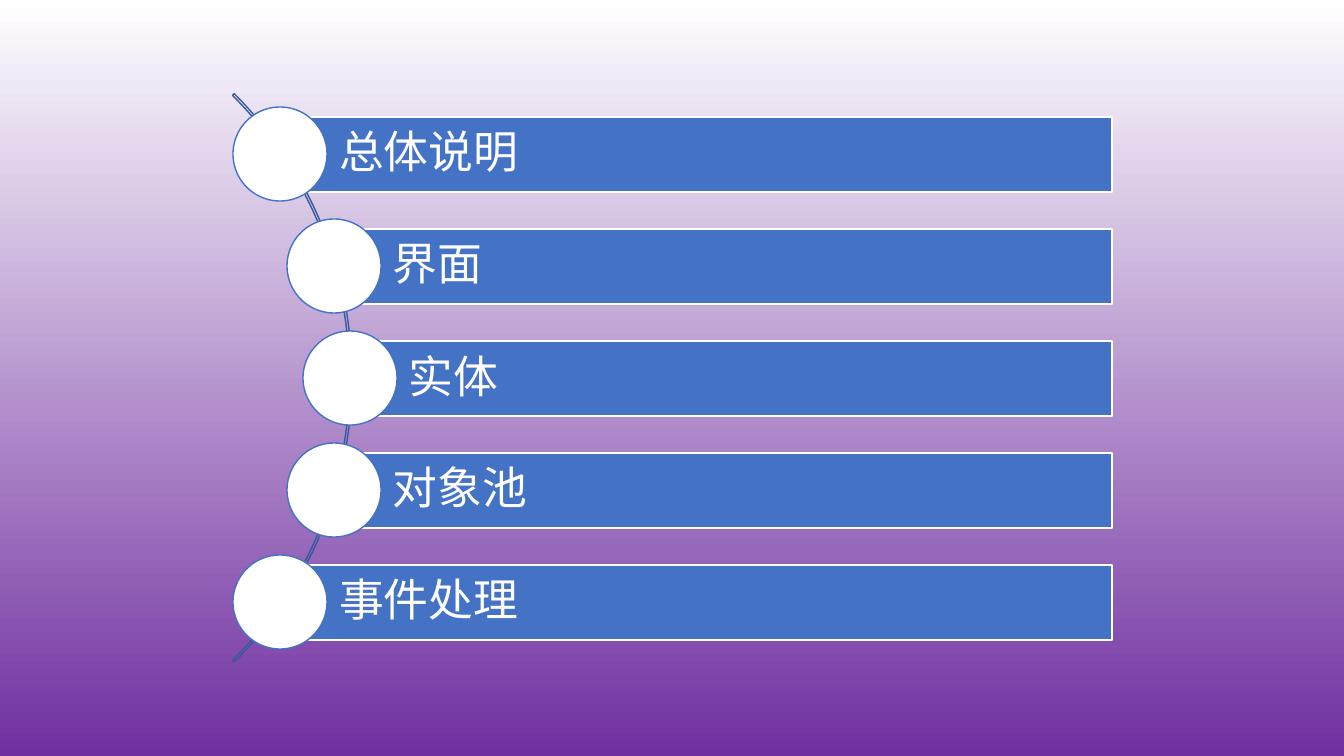
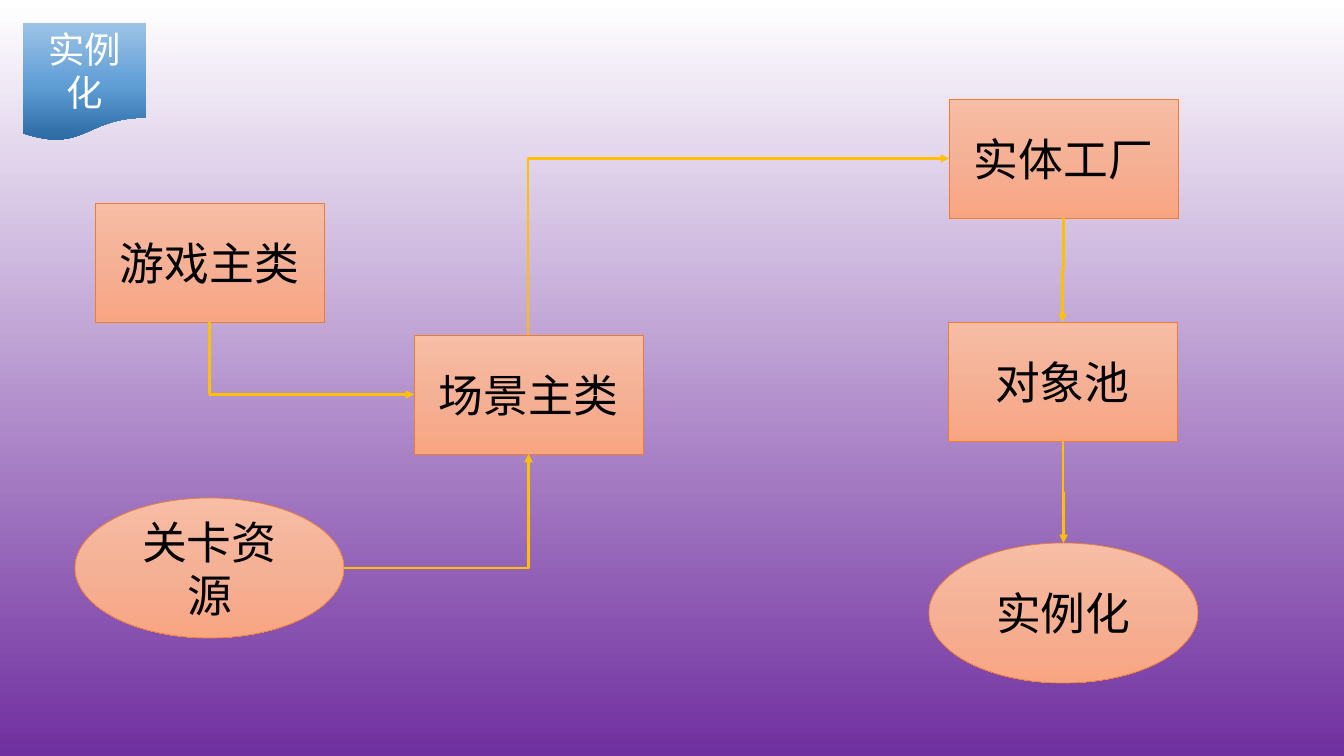
from dataclasses import dataclass

from lxml import etree
from pptx import Presentation
from pptx.dml.color import RGBColor
from pptx.dml.fill import FillFormat
from pptx.enum.shapes import MSO_CONNECTOR, MSO_SHAPE
from pptx.enum.text import MSO_ANCHOR, PP_ALIGN
from pptx.oxml.ns import qn
from pptx.presentation import Presentation as PresentationType
from pptx.shapes.autoshape import Shape
from pptx.slide import Slide
from pptx.util import Emu, Pt

RECTANGLE = MSO_SHAPE.RECTANGLE
ELLIPSE = MSO_SHAPE.OVAL
DOCUMENT = MSO_SHAPE.FLOWCHART_DOCUMENT
BLOCK_ARC = MSO_SHAPE.BLOCK_ARC
ELBOW = MSO_CONNECTOR.ELBOW
LEFT, CENTER = PP_ALIGN.LEFT, PP_ALIGN.CENTER
MIDDLE = MSO_ANCHOR.MIDDLE

# Shared look
SLIDE_WIDTH, SLIDE_HEIGHT = 1344, 756
EMU_PER_PX = 12192000 / SLIDE_WIDTH
FONT = "Noto Sans CJK SC"
WHITE, BLACK = "FFFFFF", "000000"
BLUE, DARK_BLUE = "4472C4", "365B9D"
ORANGE, GOLD = "ED7D31", "FFC000"
Gradient = list[tuple[int, str]]
BACKGROUND: Gradient = [(0, WHITE), (100, "7030A0")]
NODE_FILL: Gradient = [(0, "F7BDA5"), (50, "F5B196"), (100, "F8A582")]
TAG_FILL: Gradient = [(0, "9DC3E6"), (52, "609ED6"), (100, "2A69A2")]

# Agenda geometry
BAR_TOP, BAR_STEP, BAR_HEIGHT, BAR_RIGHT = 117, 112, 75, 1112
CIRCLE_SIZE, CIRCLE_RISE = 94, 10
BAR_INSET, BAR_MARGIN = 59, 9

# Flowchart geometry
NODE_SIZES = {RECTANGLE: (229, 119), ELLIPSE: (269, 140)}
SITES = {
    RECTANGLE: {"top": 0, "left": 1, "bottom": 2, "right": 3},
    ELLIPSE: {"top": 0, "left": 2, "bottom": 4, "right": 6},
}


@dataclass(frozen=True)
class AgendaItem:
    text: str
    left: int


@dataclass(frozen=True)
class Node:
    text: str
    kind: MSO_SHAPE
    left: int
    top: int


@dataclass(frozen=True)
class Link:
    source: str
    source_side: str
    target: str
    target_side: str


AGENDA = [
    AgendaItem("总体说明", 280),
    AgendaItem("界面", 334),
    AgendaItem("实体", 350),
    AgendaItem("对象池", 334),
    AgendaItem("事件处理", 280),
]
NODES = [
    Node("对象池", RECTANGLE, 948, 322),
    Node("实体工厂", RECTANGLE, 949, 99),
    Node("游戏主类", RECTANGLE, 95, 203),
    Node("场景主类", RECTANGLE, 414, 335),
    Node("关卡资源", ELLIPSE, 75, 498),
    Node("实例化", ELLIPSE, 929, 543),
]
LINKS = [
    Link("游戏主类", "bottom", "场景主类", "left"),
    Link("关卡资源", "right", "场景主类", "bottom"),
    Link("场景主类", "top", "实体工厂", "left"),
    Link("实体工厂", "bottom", "对象池", "top"),
    Link("对象池", "bottom", "实例化", "top"),
]


def px(length: float) -> Emu:
    return Emu(round(length * EMU_PER_PX))


def color(value: str) -> RGBColor:
    return RGBColor.from_string(value)


def set_gradient(fill: FillFormat, owner: etree._Element, stops: Gradient) -> None:
    """Fill from top to bottom with the given stops."""
    fill.gradient()
    fill.gradient_angle = 270
    stop_list = next(owner.iter(qn("a:gsLst")))
    for old_stop in list(stop_list):
        stop_list.remove(old_stop)
    for percent, value in stops:
        stop = etree.SubElement(stop_list, qn("a:gs"), pos=str(percent * 1000))
        etree.SubElement(stop, qn("a:srgbClr"), val=value)


def add_shape(slide: Slide, kind: MSO_SHAPE, left: int, top: int, width: int,
              height: int, fill: str | Gradient | None = None,
              line: str | None = None, line_width: float = 1) -> Shape:
    shape = slide.shapes.add_shape(kind, px(left), px(top), px(width), px(height))
    shape.shadow.inherit = False
    if fill is None:
        shape.fill.background()
    elif isinstance(fill, str):
        shape.fill.solid()
        shape.fill.fore_color.rgb = color(fill)
    else:
        set_gradient(shape.fill, shape.element, fill)
    if line is None:
        shape.line.fill.background()
    else:
        shape.line.color.rgb = color(line)
        shape.line.width = Pt(line_width)
    return shape


def set_text(shape: Shape, text: str, size: int, value: str,
             alignment: PP_ALIGN = CENTER) -> None:
    frame = shape.text_frame
    frame.text = text
    frame.word_wrap = True
    frame.vertical_anchor = MIDDLE
    paragraph = frame.paragraphs[0]
    paragraph.alignment = alignment
    run = paragraph.runs[0]
    run.font.size = Pt(size)
    run.font.color.rgb = color(value)
    run.font.name = FONT
    # East Asian text takes its typeface from a separate element
    latin = next(shape.element.iter(qn("a:latin")))
    latin.addnext(etree.Element(qn("a:ea"), typeface=FONT))


def side_point(shape: Shape, side: str) -> tuple[int, int]:
    across, down = {"top": (0.5, 0), "left": (0, 0.5),
                    "bottom": (0.5, 1), "right": (1, 0.5)}[side]
    return (round(shape.left + across * shape.width),
            round(shape.top + down * shape.height))


def add_link(slide: Slide, shapes: dict[str, Shape], link: Link) -> None:
    source, target = shapes[link.source], shapes[link.target]
    start_x, start_y = side_point(source, link.source_side)
    end_x, end_y = side_point(target, link.target_side)
    run_x, run_y = end_x - start_x, end_y - start_y
    vertical_first = link.source_side in ("top", "bottom")
    width, height = abs(run_x), abs(run_y)
    if vertical_first:
        width, height = height, width
    left = (start_x + end_x - width) // 2
    top = (start_y + end_y - height) // 2
    connector = slide.shapes.add_connector(
        ELBOW, Emu(left), Emu(top), Emu(left + width), Emu(top + height))
    connector.line.color.rgb = color(GOLD)
    connector.line.width = Pt(1.5)

    # Turn the elbow so that it leaves from the right side
    properties = connector.element.spPr
    transform = properties.find(qn("a:xfrm"))
    if vertical_first:
        transform.set("rot", str((270 if run_x > 0 else 90) * 60000))
        transform.set("flipH", str(int((run_x > 0) == (run_y > 0))))
    else:
        transform.set("flipH", str(int(run_x < 0)))
        transform.set("flipV", str(int(run_y < 0)))
    target_vertical = link.target_side in ("top", "bottom")
    if vertical_first != target_vertical:
        properties.find(qn("a:prstGeom")).set("prst", "bentConnector2")

    # Arrowhead, no shadow, and glue to both nodes
    etree.SubElement(properties.find(qn("a:ln")), qn("a:tailEnd"), type="triangle")
    etree.SubElement(properties, qn("a:effectLst"))
    glue = next(connector.element.iter(qn("p:cNvCxnSpPr")))
    for tag, shape, side in (("a:stCxn", source, link.source_side),
                             ("a:endCxn", target, link.target_side)):
        site = SITES[shape.auto_shape_type][side]
        etree.SubElement(glue, qn(tag), id=str(shape.shape_id), idx=str(site))


def add_blank_slide(presentation: PresentationType) -> Slide:
    return presentation.slides.add_slide(presentation.slide_layouts[6])


def build_agenda(presentation: PresentationType) -> None:
    slide = add_blank_slide(presentation)
    arc = add_shape(slide, BLOCK_ARC, -452, -24, 804, 804, line=DARK_BLUE)
    for index, adjustment in enumerate((189, 27, 0.003)):
        arc.adjustments[index] = adjustment
    for index, item in enumerate(AGENDA):
        top = BAR_TOP + index * BAR_STEP
        bar = add_shape(slide, RECTANGLE, item.left, top, BAR_RIGHT - item.left,
                        BAR_HEIGHT, BLUE, WHITE)
        set_text(bar, item.text, 32, WHITE, LEFT)
        frame = bar.text_frame
        frame.margin_left = px(BAR_INSET)
        frame.margin_top = frame.margin_right = frame.margin_bottom = px(BAR_MARGIN)
        frame.paragraphs[0].line_spacing = 0.9
        add_shape(slide, ELLIPSE, item.left - CIRCLE_SIZE // 2, top - CIRCLE_RISE,
                  CIRCLE_SIZE, CIRCLE_SIZE, WHITE, BLUE)


def build_flowchart(presentation: PresentationType) -> None:
    slide = add_blank_slide(presentation)
    tag = add_shape(slide, DOCUMENT, 23, 23, 123, 118, TAG_FILL)
    set_text(tag, "实例化", 26, WHITE)
    shapes: dict[str, Shape] = {}
    for node in NODES:
        width, height = NODE_SIZES[node.kind]
        shape = add_shape(slide, node.kind, node.left, node.top, width, height,
                          NODE_FILL, ORANGE, 0.5)
        set_text(shape, node.text, 32, BLACK)
        shapes[node.text] = shape
    for link in LINKS:
        add_link(slide, shapes, link)


def main() -> None:
    presentation = Presentation()
    presentation.slide_width = px(SLIDE_WIDTH)
    presentation.slide_height = px(SLIDE_HEIGHT)
    master = presentation.slide_master
    set_gradient(master.background.fill, master.element, BACKGROUND)
    build_agenda(presentation)
    build_flowchart(presentation)
    presentation.save("out.pptx")


if __name__ == "__main__":
    main()
